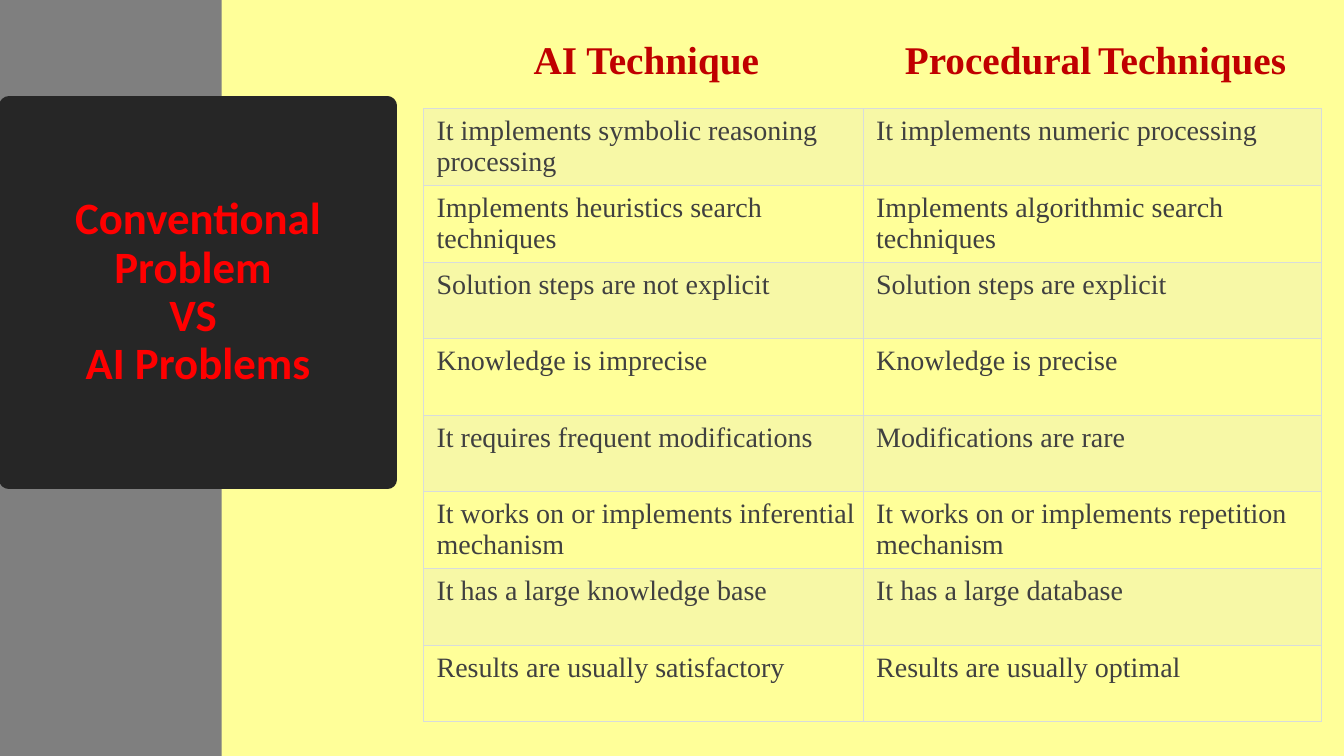
from lxml.etree import SubElement
from pptx import Presentation
from pptx.dml.color import RGBColor
from pptx.enum.shapes import MSO_SHAPE
from pptx.enum.text import MSO_ANCHOR, PP_ALIGN
from pptx.oxml import parse_xml
from pptx.oxml.ns import nsdecls, qn
from pptx.util import Inches, Pt

RED, DARK, TEXT, BAND, RULE = "C00000", "262626", "404040", "D8DEDC", "D8DCDC"
NO_STYLE = "{2D5ABB26-0587-4C30-8999-92F81FD0307C}"
HEADS = [
    [("AI Technique", {})],
    [("Procedural", {}), (" ", {"size": 20, "color": TEXT}), ("Techniques", {})],
]
ROWS = [
    ("It implements symbolic reasoning processing", "It implements numeric processing"),
    ("Implements heuristics search techniques", "Implements algorithmic search techniques"),
    ("Solution steps are not explicit", "Solution steps are explicit"),
    ("Knowledge is imprecise", "Knowledge is precise"),
    ("It requires frequent modifications", "Modifications are rare"),
    ("It works on or implements inferential mechanism",
     "It works on or implements repetition mechanism"),
    ("It has a large knowledge base", "It has a large database"),
    ("Results are usually satisfactory", "Results are usually optimal"),
]


def rgb(color):
    return RGBColor.from_string(color)


def write(frame, runs, size=20, color=TEXT, bold=False, font="Times New Roman",
          align=PP_ALIGN.LEFT, space=None):
    """Fill the first paragraph; each run may override size and color."""
    para = frame.paragraphs[0]
    para.alignment = align
    if space:
        para.line_spacing = space
    for text, own in runs:
        for i, part in enumerate(text.split("\n")):
            if i:
                para.add_line_break()
            run = para.add_run()
            run.text = part
            run.font.name = font
            run.font.bold = bold
            run.font.size = Pt(own.get("size", size))
            run.font.color.rgb = rgb(own.get("color", color))


def border(cell, sides):
    """Rule the given sides, in the order L, R, T, B."""
    props = cell._tc.get_or_add_tcPr()
    for i, side in enumerate(sides):
        props.insert(i, parse_xml(
            f'<a:ln{side} {nsdecls("a")} w="{Pt(0.75)}"><a:solidFill>'
            f'<a:srgbClr val="{RULE}"/></a:solidFill></a:ln{side}>'))


def tint(cell, color, alpha):
    cell.fill.solid()
    cell.fill.fore_color.rgb = rgb(color)
    shade = cell._tc.tcPr.find(qn("a:solidFill")).find(qn("a:srgbClr"))
    SubElement(shade, qn("a:alpha")).set("val", str(alpha * 1000))


class Deck:
    def __init__(self, back):
        self.prs = Presentation()
        self.prs.slide_width = Inches(13.33)
        self.prs.slide_height = Inches(7.5)
        self.slide = self.prs.slides.add_slide(self.prs.slide_layouts[6])
        fill = self.slide.background.fill
        fill.solid()
        fill.fore_color.rgb = rgb(back)

    def box(self, x, y, w, h, color, line=0):
        shape = self.slide.shapes.add_shape(
            MSO_SHAPE.RECTANGLE, Inches(x), Inches(y), Inches(w), Inches(h))
        shape.shadow.inherit = False
        shape.fill.solid()
        shape.fill.fore_color.rgb = rgb(color)
        if line:
            shape.line.color.rgb = rgb(color)
            shape.line.width = Pt(line)
            SubElement(shape.line._get_or_add_ln(), qn("a:round"))
        else:
            shape.line.fill.background()
        return shape

    def title(self, text, *place):
        frame = self.box(*place, DARK, line=13.75).text_frame
        frame.word_wrap = True
        frame.vertical_anchor = MSO_ANCHOR.MIDDLE
        write(frame, [(text, {})], size=32, color="FF0000", bold=True,
              font="Calibri", align=PP_ALIGN.CENTER, space=0.9)

    def table(self, x, y, widths, high):
        count = len(ROWS) + 1
        shape = self.slide.shapes.add_table(
            count, len(widths), Inches(x), Inches(y),
            Inches(sum(widths)), Inches(high * count))
        next(shape.element.iter(qn("a:tableStyleId"))).text = NO_STYLE
        table = shape.table
        table.first_row = table.horz_banding = False
        for col, width in zip(table.columns, widths):
            col.width = Inches(width)
        for row in table.rows:
            row.height = Inches(high)
        for c, runs in enumerate(HEADS):
            cell = self.cell(table, 0, c, "B")
            write(cell.text_frame, runs, size=28, color=RED, bold=True,
                  align=PP_ALIGN.CENTER)
        for r, texts in enumerate(ROWS, 1):
            for c, text in enumerate(texts):
                cell = self.cell(table, r, c, "LRTB")
                write(cell.text_frame, [(text, {})])
                if r % 2:
                    tint(cell, BAND, 20)

    def cell(self, table, r, c, sides):
        cell = table.cell(r, c)
        cell.margin_left = Inches(0.13)
        cell.margin_right = cell.margin_top = cell.margin_bottom = Inches(0.07)
        cell.fill.background()
        border(cell, sides)
        return cell


def main():
    deck = Deck("FFFF99")
    deck.box(0, 0, 2.2, 7.5, "7F7F7F")
    deck.title("Conventional Problem \nVS \nAI Problems", 0.09, 1.05, 3.75, 3.71)
    deck.table(4.2, 0.32, (4.36, 4.55), 0.76)
    deck.prs.save("out.pptx")


if __name__ == "__main__":
    main()
